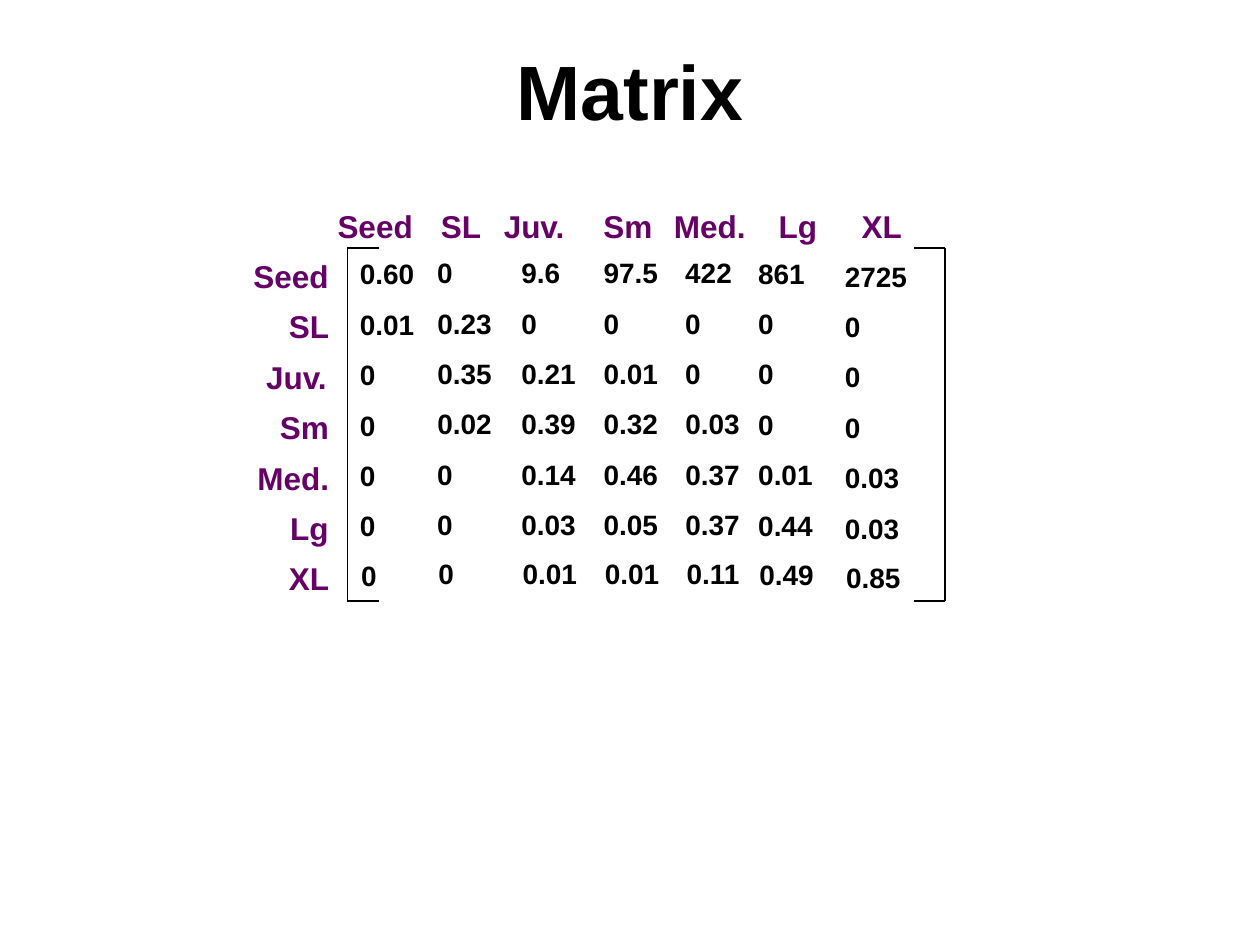
from dataclasses import dataclass

from lxml import etree
from pptx import Presentation
from pptx.dml.color import RGBColor
from pptx.enum.shapes import MSO_CONNECTOR
from pptx.enum.text import MSO_ANCHOR, MSO_AUTO_SIZE, PP_ALIGN
from pptx.oxml.ns import qn
from pptx.util import Pt

STRAIGHT = MSO_CONNECTOR.STRAIGHT
LEFT, CENTER = PP_ALIGN.LEFT, PP_ALIGN.CENTER
TOP, MIDDLE = MSO_ANCHOR.TOP, MSO_ANCHOR.MIDDLE
GROW, FIXED = MSO_AUTO_SIZE.SHAPE_TO_FIT_TEXT, MSO_AUTO_SIZE.NONE

COLORS = {"text": "000000", "label": "660066", "bracket": "000000"}
FONT = "Arial"

# Grid, in points
ROW_TOP, ROW_STEP = 143.3, 28.8
HEADER_TOP = 114.5
ROW_LABEL_RIGHT = 195.4
LABEL_HEIGHT, VALUE_HEIGHT = 29, 26.6
SIDE_INSETS, DIGIT_WIDTH, POINT_WIDTH = 14.4, 8.9, 4.45
LAST_ROW_SHIFT = 0.7


@dataclass(frozen=True)
class Stage:
    """A life stage: one row label and one column of the matrix."""
    name: str
    label_width: float
    header_left: float
    values_left: float
    values_shift: float
    values: tuple[str, ...]


STAGES = (
    Stage("Seed", 57.6, 185.8, 198.6, 0,
          ("0.60", "0.01", "0", "0", "0", "0", "0")),
    Stage("SL", 37.4, 244.8, 242.8, -0.7,
          ("0", "0.23", "0.35", "0.02", "0", "0", "0")),
    Stage("Juv.", 50.4, 280.8, 290.8, -0.7,
          ("9.6", "0", "0.21", "0.39", "0.14", "0.03", "0.01")),
    Stage("Sm", 42.5, 337.7, 337.8, -0.7,
          ("97.5", "0", "0.01", "0.32", "0.46", "0.05", "0.01")),
    Stage("Med.", 55.4, 378, 384.5, -0.7,
          ("422", "0", "0", "0.03", "0.37", "0.37", "0.11")),
    Stage("Lg", 36.7, 437.8, 426.2, -0.5,
          ("861", "0", "0", "0", "0.01", "0.44", "0.49")),
    Stage("XL", 37.4, 485.3, 475.7, 1.2,
          ("2725", "0", "0", "0", "0.03", "0.03", "0.85")),
)


@dataclass(frozen=True)
class Bracket:
    spine: float
    tip: float
    top: float = 141.8
    bottom: float = 343.4


BRACKETS = (Bracket(198.5, 216.5), Bracket(540, 522))


def add_text(slide, text: str, left: float, top: float, width: float,
             height: float, *, size: float, color: str = "text",
             align=LEFT, anchor=TOP, wrap: bool = False) -> None:
    box = slide.shapes.add_textbox(Pt(left), Pt(top), Pt(width), Pt(height))
    frame = box.text_frame
    frame.word_wrap = wrap
    frame.auto_size = FIXED if wrap else GROW
    frame.vertical_anchor = anchor
    paragraph = frame.paragraphs[0]
    paragraph.alignment = align
    run = paragraph.add_run()
    run.text = text
    run.font.name = FONT
    run.font.size = Pt(size)
    run.font.bold = True
    run.font.color.rgb = RGBColor.from_string(COLORS[color])


def add_label(slide, stage: Stage, left: float, top: float) -> None:
    add_text(slide, stage.name, left, top, stage.label_width, LABEL_HEIGHT,
             size=18, color="label")


def value_width(value: str) -> float:
    points = value.count(".")
    digits = len(value) - points
    return SIDE_INSETS + digits * DIGIT_WIDTH + points * POINT_WIDTH


def add_values(slide, stage: Stage) -> None:
    last = len(stage.values) - 1
    for row, value in enumerate(stage.values):
        nudge = LAST_ROW_SHIFT if row == last else 0
        add_text(slide, value, stage.values_left + nudge,
                 ROW_TOP + row * ROW_STEP + stage.values_shift - nudge,
                 value_width(value), VALUE_HEIGHT, size=16)


def add_bracket(slide, bracket: Bracket) -> None:
    group = slide.shapes.add_group_shape()
    spine, tip = bracket.spine, bracket.tip
    top, bottom = bracket.top, bracket.bottom
    for x1, y1, x2, y2 in ((spine, top, spine, bottom),
                           (spine, bottom, tip, bottom),
                           (spine, top, tip, top)):
        line = group.shapes.add_connector(STRAIGHT, Pt(x1), Pt(y1),
                                          Pt(x2), Pt(y2))
        line.line.color.rgb = RGBColor.from_string(COLORS["bracket"])
        line.line.width = Pt(0.75)
        etree.SubElement(line._element.spPr, qn("a:effectLst"))


def main() -> None:
    presentation = Presentation()
    presentation.slide_width, presentation.slide_height = Pt(720), Pt(540)
    slide = presentation.slides.add_slide(presentation.slide_layouts[6])

    # Title
    add_text(slide, "Matrix", 36, 6, 648, 90, size=44,
             align=CENTER, anchor=MIDDLE, wrap=True)

    # Brackets around the matrix
    for bracket in BRACKETS:
        add_bracket(slide, bracket)

    # Column headers, row labels and values
    for index, stage in enumerate(STAGES):
        add_label(slide, stage, stage.header_left, HEADER_TOP)
        add_label(slide, stage, ROW_LABEL_RIGHT - stage.label_width,
                  ROW_TOP + index * ROW_STEP)
        add_values(slide, stage)

    presentation.save("out.pptx")


if __name__ == "__main__":
    main()
